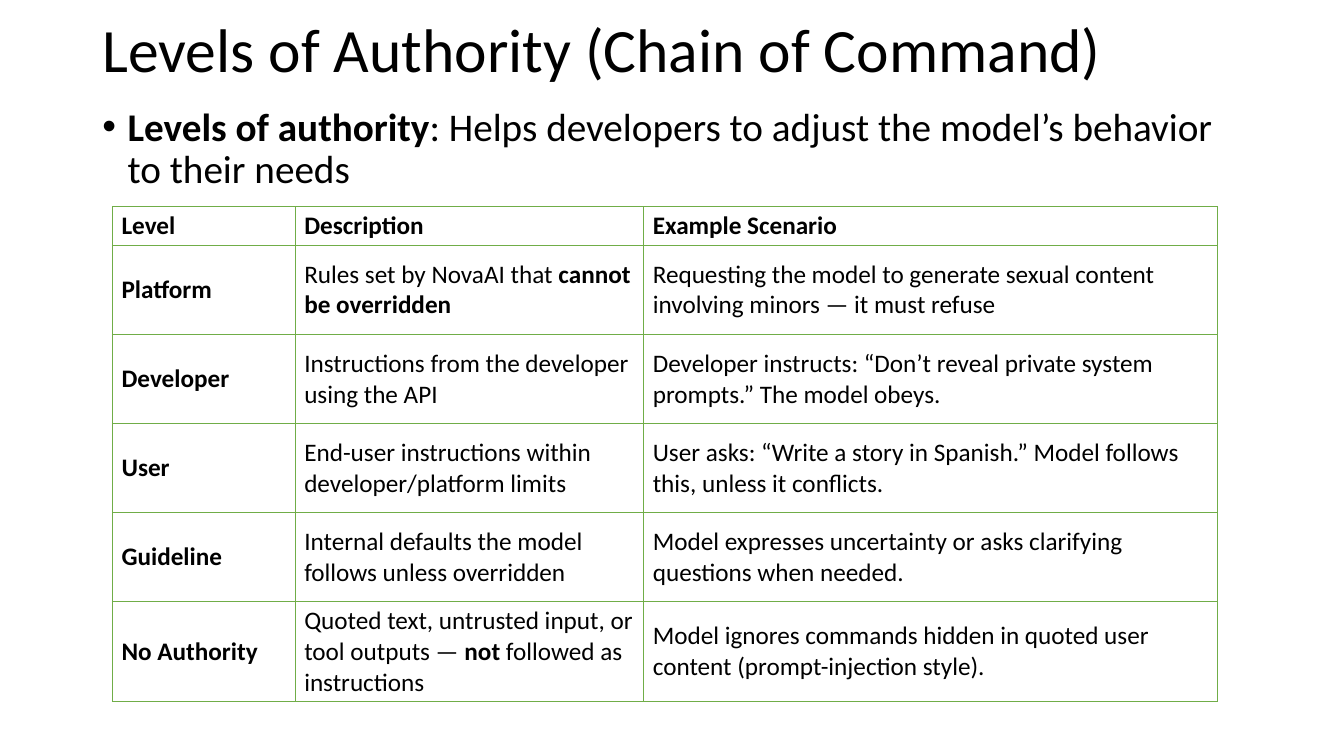
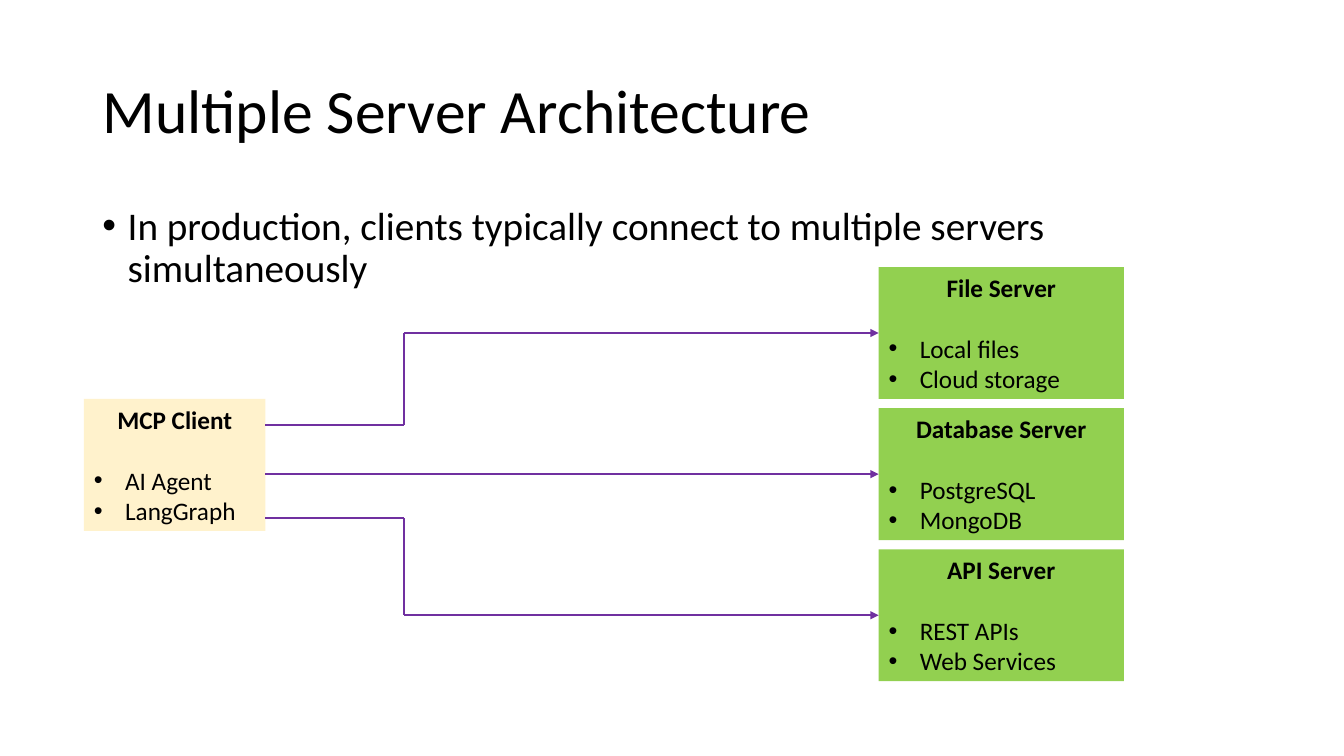
import pptx
import pptx.util
import pptx.dml.color
import pptx.enum.shapes
import pptx.enum.text
import pptx.oxml
import pptx.oxml.ns
from dataclasses import dataclass

Pt, Inches = pptx.util.Pt, pptx.util.Inches
RGB = pptx.dml.color.RGBColor.from_string
ALIGN = pptx.enum.text.PP_ALIGN
ANCHOR = pptx.enum.text.MSO_ANCHOR
NS = pptx.oxml.ns.nsdecls("a")


@dataclass(frozen=True)
class Theme:
    font: str = "Calibri"
    text: str = "000000"
    border: str = "70AD47"
    client: str = "FFF2CC"
    server: str = "92D050"
    arrow: str = "7030A0"
    title_size: float = 44
    body_size: float = 28
    small_size: float = 18
    border_width: float = 1
    arrow_width: float = 1.5


THEME = Theme()
COLS, ROWS = 160, 90
LEFT, WIDTH = 11, 138

LEVELS = [
    ("**Level**", "**Description**", "**Example Scenario**"),
    ("**Platform**", "Rules set by NovaAI that **cannot be overridden**",
     "Requesting the model to generate sexual content involving minors — it must refuse"),
    ("**Developer**", "Instructions from the developer using the API",
     "Developer instructs: “Don’t reveal private system prompts.” The model obeys."),
    ("**User**", "End-user instructions within developer/platform limits",
     "User asks: “Write a story in Spanish.” Model follows this, unless it conflicts."),
    ("**Guideline**", "Internal defaults the model follows unless overridden",
     "Model expresses uncertainty or asks clarifying questions when needed."),
    ("**No Authority**",
     "Quoted text, untrusted input, or tool outputs — **not** followed as instructions",
     "Model ignores commands hidden in quoted user content (prompt-injection style)."),
]

SERVERS = [
    ("File Server", ["Local files", "Cloud storage"]),
    ("Database Server", ["PostgreSQL", "MongoDB"]),
    ("API Server", ["REST APIs", "Web Services"]),
]


def apply(obj, **formats):
    for name, value in formats.items():
        setattr(obj, name, value)


class Deck:
    def __init__(self, theme):
        self.theme = theme
        self.prs = pptx.Presentation()
        apply(self.prs, slide_width=Inches(13.333), slide_height=Inches(7.5))
        self.slide = None

    def x(self, cols):
        return round(self.prs.slide_width * cols / COLS)

    def y(self, rows):
        return round(self.prs.slide_height * rows / ROWS)

    def box(self, left, top, width, height):
        return self.x(left), self.y(top), self.x(width), self.y(height)

    def add_text(self, p, text, size, **formats):
        """Fill a paragraph; parts between double asterisks are bold."""
        for i, part in enumerate(text.split("**")):
            if part:
                r = p.add_run()
                r.text = part
                apply(r.font, name=self.theme.font, size=Pt(size), bold=i % 2 == 1)
                r.font.color.rgb = RGB(self.theme.text)
        apply(p, **formats)

    def bullet(self, p, indent):
        pPr = p._p.get_or_add_pPr()
        pPr.set("marL", str(Inches(indent)))
        pPr.set("indent", str(-Inches(indent)))
        for xml in (f'<a:buFont {NS} typeface="Arial"/>', f'<a:buChar {NS} char="•"/>'):
            pPr.append(pptx.oxml.parse_xml(xml))

    def placeholder(self, sp, top, height, anchor):
        left, top, width, height = self.box(LEFT, top, WIDTH, height)
        apply(sp, left=left, top=top, width=width, height=height)
        apply(sp.text_frame, word_wrap=True, vertical_anchor=anchor,
              auto_size=pptx.enum.text.MSO_AUTO_SIZE.NONE)
        return sp.text_frame.paragraphs[0]

    def start(self, title, title_top, title_height, body, body_top, body_height):
        """Open a slide with a title and one bullet."""
        self.slide = self.prs.slides.add_slide(self.prs.slide_layouts[1])
        spacing = dict(line_spacing=0.9, space_before=Pt(0), alignment=ALIGN.LEFT)
        p = self.placeholder(self.slide.shapes.title, title_top, title_height, ANCHOR.MIDDLE)
        self.add_text(p, title, self.theme.title_size, **spacing)
        p = self.placeholder(self.slide.placeholders[1], body_top, body_height, ANCHOR.TOP)
        self.bullet(p, 0.25)
        self.add_text(p, body, self.theme.body_size, **spacing)

    def borders(self, cell):
        tcPr = cell._tc.get_or_add_tcPr()
        for i, side in enumerate(("lnL", "lnR", "lnT", "lnB")):
            tcPr.insert(i, pptx.oxml.parse_xml(
                f'<a:{side} {NS} w="{Pt(self.theme.border_width)}"><a:solidFill>'
                f'<a:srgbClr val="{self.theme.border}"/></a:solidFill></a:{side}>'))

    def table(self, left, top, widths, heights, rows):
        area = self.box(left, top, sum(widths), sum(heights))
        table = self.slide.shapes.add_table(len(rows), len(widths), *area).table
        apply(table, first_row=False, horz_banding=False)
        for column, width in zip(table.columns, widths):
            column.width = self.x(width)
        for row, height, texts in zip(table.rows, heights, rows):
            row.height = self.y(height)
            for cell, text in zip(row.cells, texts):
                apply(cell, vertical_anchor=ANCHOR.MIDDLE,
                      margin_left=Inches(0.09), margin_right=Inches(0.09),
                      margin_top=Inches(0.04), margin_bottom=Inches(0.04))
                cell.fill.background()
                self.borders(cell)
                self.add_text(cell.text_frame.paragraphs[0], text, self.theme.small_size)

    def card(self, area, fill, heading, items):
        sp = self.slide.shapes.add_shape(
            pptx.enum.shapes.MSO_SHAPE.RECTANGLE, *self.box(*area))
        sp.shadow.inherit = False
        sp.fill.solid()
        sp.fill.fore_color.rgb = RGB(fill)
        sp.line.fill.background()
        tf = sp.text_frame
        apply(tf, word_wrap=True, vertical_anchor=ANCHOR.TOP)
        size = self.theme.small_size
        self.add_text(tf.paragraphs[0], f"**{heading}**", size,
                      alignment=ALIGN.CENTER, space_after=Pt(22))
        for item in items:
            p = tf.add_paragraph()
            self.bullet(p, 0.31)
            self.add_text(p, item, size, alignment=ALIGN.LEFT)
        return sp

    def route(self, points, target):
        """Draw straight segments through points, the last one an arrow joined to target."""
        for i, (start, end) in enumerate(zip(points, points[1:]), 1):
            line = self.slide.shapes.add_connector(
                pptx.enum.shapes.MSO_CONNECTOR.STRAIGHT,
                self.x(start[0]), self.y(start[1]), self.x(end[0]), self.y(end[1]))
            line.line.color.rgb = RGB(self.theme.arrow)
            line.line.width = Pt(self.theme.arrow_width)
            spPr = line._element.spPr
            spPr.append(pptx.oxml.parse_xml(f"<a:effectLst {NS}/>"))
            if i == len(points) - 1:
                spPr.find(pptx.oxml.ns.qn("a:ln")).append(
                    pptx.oxml.parse_xml(f'<a:tailEnd {NS} type="triangle"/>'))
                line.end_connect(target, 1)


def authority_slide(deck):
    deck.start("Levels of Authority (Chain of Command)", 1.3, 10,
               "**Levels of authority**: Helps developers to adjust the model’s "
               "behavior to their needs", 12.2, 68.9)
    heights = [4.2] + [10.6] * (len(LEVELS) - 1)
    deck.table(13.4, 24.6, [21.75, 41.5, 68.3], heights, LEVELS)


def server_slide(deck):
    deck.start("Multiple Server Architecture", 4.8, 17.4,
               "In production, clients typically connect to multiple servers "
               "simultaneously", 24, 57.1)
    card_height, pitch = 15.7, 16.8
    client_left, client_width, server_left, server_top = 10, 21.6, 104.6, 31.8
    deck.card((client_left, 47.5, client_width, card_height), THEME.client,
              "MCP Client", ["AI Agent", "LangGraph"])
    client_right, bend = client_left + client_width, 48.1
    for i, (exit_y, (heading, items)) in enumerate(zip((50.6, 56.45, 61.7), SERVERS)):
        top = server_top + i * pitch
        server = deck.card((server_left, top, 29.2, card_height), THEME.server, heading, items)
        middle = top + card_height / 2
        points = [(client_right, exit_y), (server_left, middle)]
        if i != 1:
            points[1:1] = [(bend, exit_y), (bend, middle)]
        deck.route(points, server)


def main():
    deck = Deck(THEME)
    authority_slide(deck)
    server_slide(deck)
    deck.prs.save("out.pptx")


if __name__ == "__main__":
    main()
